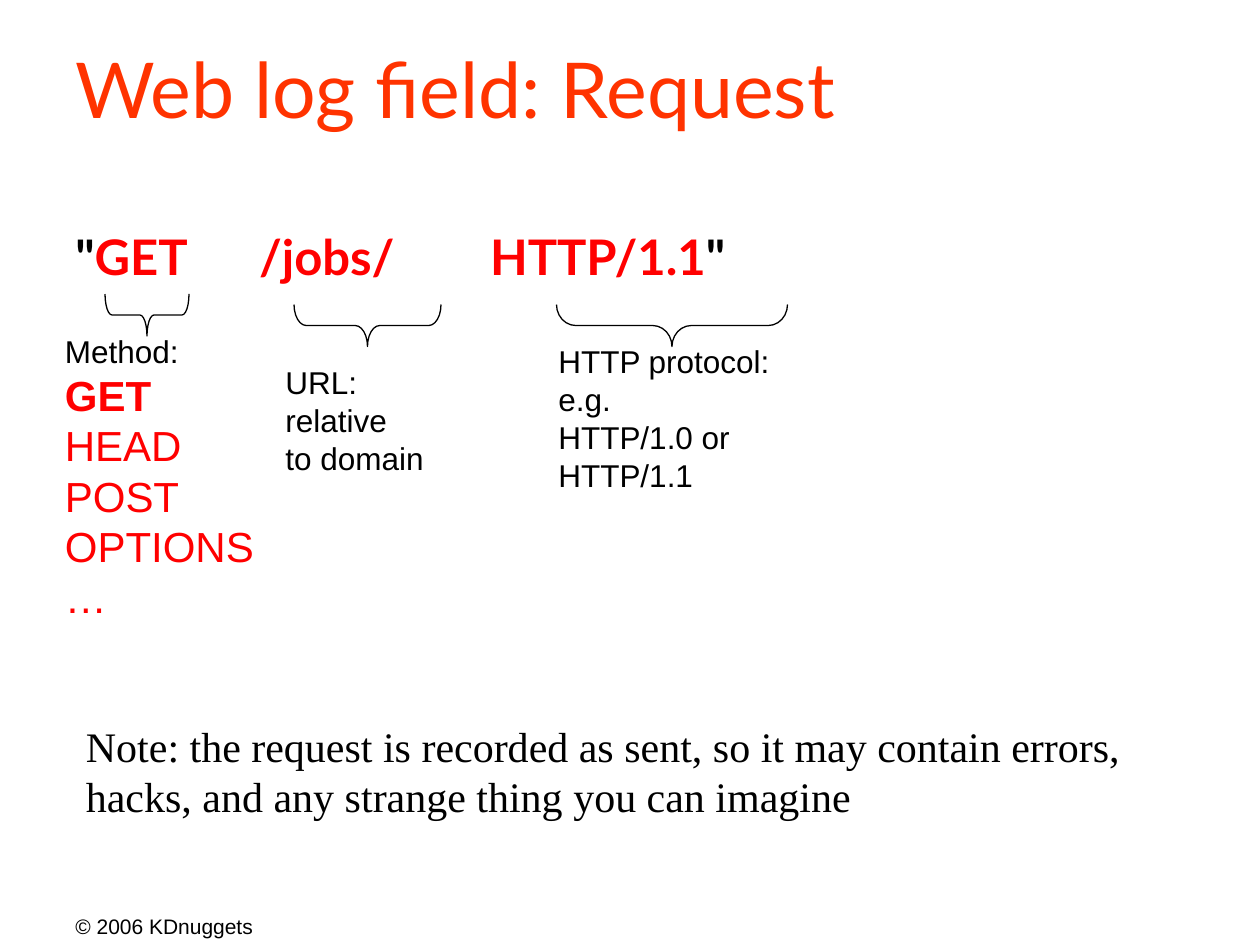
from lxml.etree import SubElement
from pptx import Presentation
from pptx.dml.color import RGBColor
from pptx.enum.shapes import MSO_SHAPE
from pptx.enum.text import MSO_ANCHOR
from pptx.oxml.ns import qn
from pptx.util import Inches, Pt

BLACK = RGBColor(0x00, 0x00, 0x00)
RED = RGBColor(0xFF, 0x00, 0x00)
ORANGE = RGBColor(0xFF, 0x33, 0x00)

prs = Presentation()
prs.slide_width, prs.slide_height = Inches(10), Inches(7.5)
s = prs.slides.add_slide(prs.slide_layouts[6])
COL = prs.slide_width / 120
ROW = prs.slide_height / 90


def cell(x, y, w, h):
    return int(x * COL), int(y * ROW), int(w * COL), int(h * ROW)


def add_text(box, lines, size=18, font="Arial", color=BLACK, wrap=False,
             anchor=MSO_ANCHOR.TOP, spacing=None, tabs=()):
    tf = s.shapes.add_textbox(*cell(*box)).text_frame
    tf.word_wrap = wrap
    tf.vertical_anchor = anchor
    for i, line in enumerate(lines):
        p = tf.paragraphs[0] if i == 0 else tf.add_paragraph()
        p.line_spacing = spacing
        if tabs:
            tab_list = SubElement(p._p.get_or_add_pPr(), qn("a:tabLst"))
            for pos in tabs:
                SubElement(tab_list, qn("a:tab"), pos=str(int(pos * COL)), algn="l")
        for text, fmt in line:
            r = p.add_run()
            r.text = text
            r.font.name = font
            r.font.size = Pt(fmt.get("size", size))
            r.font.bold = fmt.get("bold", False)
            r.font.color.rgb = fmt.get("color", color)


add_text((6, 86.4, 19.3, 3.6), [[("© 2006 KDnuggets", {})]], size=12)
add_text((6, 3, 109, 12), [[("Web log field: Request", {})]], size=44, font="Lato",
         color=ORANGE, wrap=True, anchor=MSO_ANCHOR.MIDDLE, spacing=0.85)

quote = ('"', {"bold": True})
request = ("GET\t/jobs/\tHTTP/1.1", {"bold": True, "color": RED})
add_text((6, 21, 109, 62), [[quote, request, quote]], size=28, font="Lato",
         wrap=True, tabs=(17.5, 39.5))

method = {"size": 24, "color": RED}
methods = [[("Method:", {})], [("GET", {**method, "bold": True})]]
methods += [[(name, method)] for name in ("HEAD", "POST", "OPTIONS", "…")]
add_text((5, 31, 22, 28.8), methods, wrap=True)

for box, lines in (
    ((26, 34, 15.6, 12), ("URL:", "relative", "to domain")),
    ((52, 32, 22.6, 15.6), ("HTTP protocol:", "e.g.", "HTTP/1.0 or", "HTTP/1.1")),
):
    add_text(box, [[(line, {})] for line in lines])

DEPTH = 4
for left, top, span in ((10, 28, 8), (28, 29, 14), (53, 29, 22)):
    shift = (span - DEPTH) / 2
    sp = s.shapes.add_shape(MSO_SHAPE.LEFT_BRACE,
                            *cell(left + shift, top - shift, DEPTH, span))
    sp.rotation = 270
    sp.adjustments[0] = span / DEPTH / 12
    sp.shadow.inherit = False
    sp.fill.background()
    sp.line.color.rgb = BLACK
    sp.line.width = Pt(0.75)

note = ("Note: the request is recorded as sent, so it may contain errors,",
        "hacks, and any strange thing you can imagine")
add_text((7, 68, 101, 10.8), [[(line, {})] for line in note],
         size=24, font="Times New Roman")

prs.save("out.pptx")
